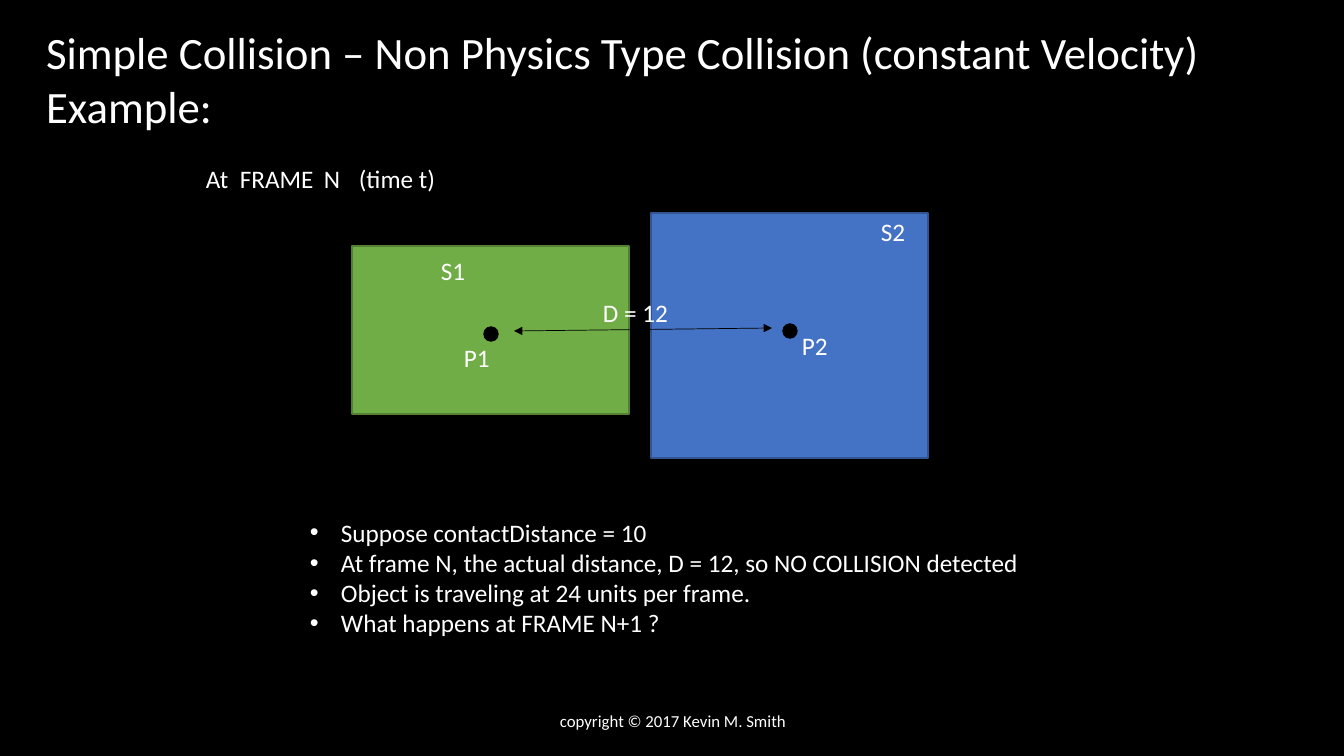
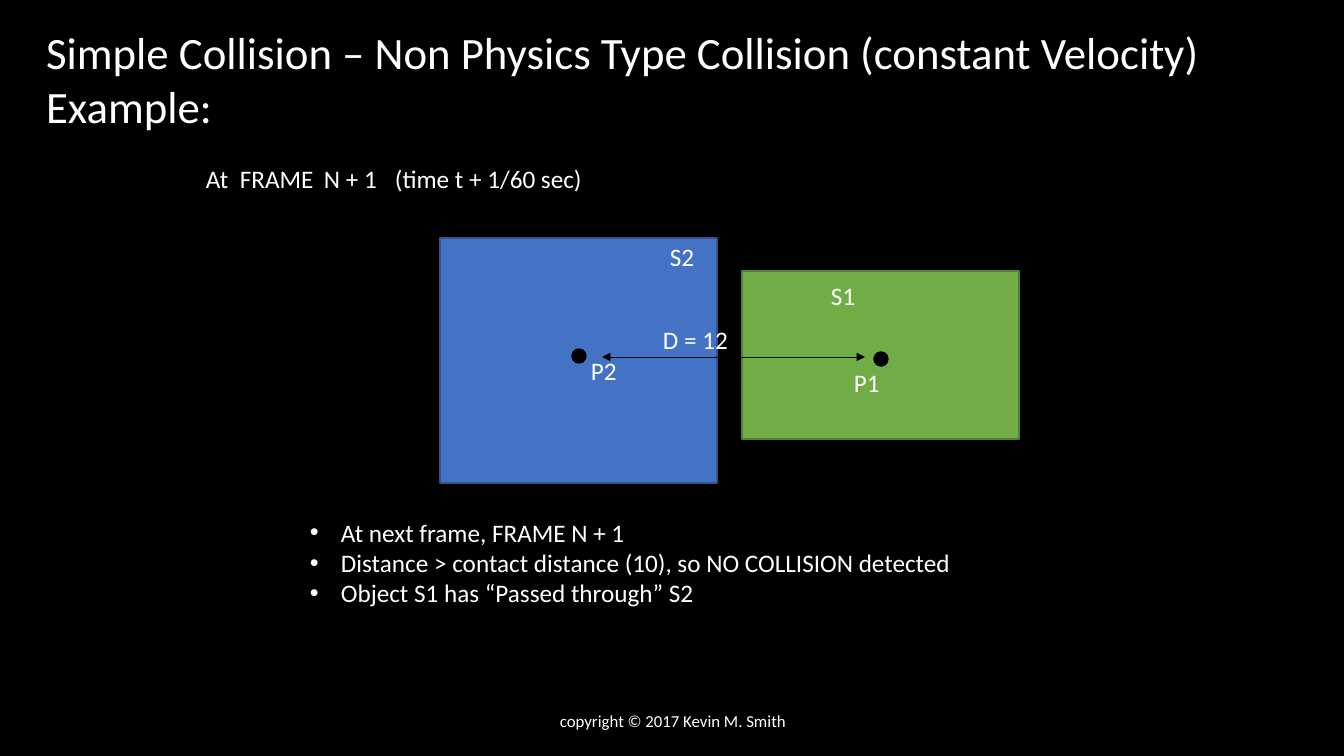
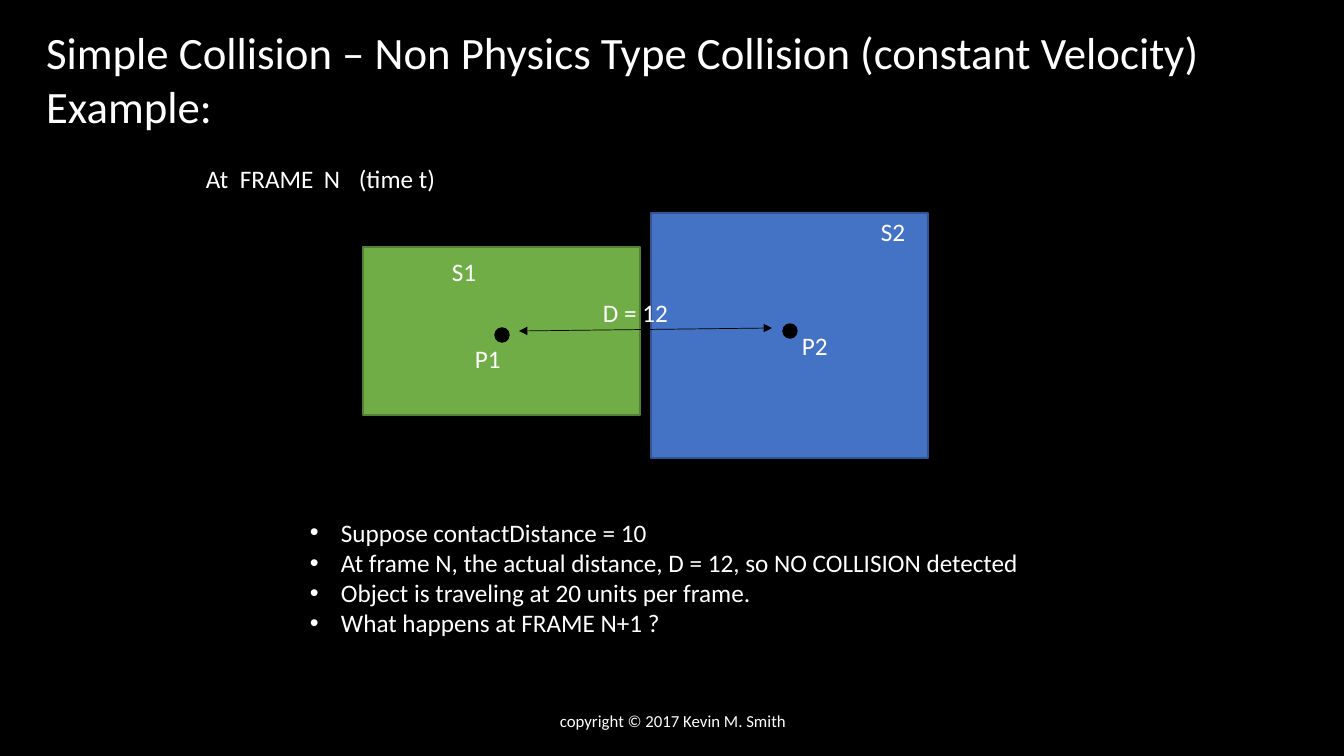
import dataclasses

import pptx
import pptx.dml.color
import pptx.enum.shapes
import pptx.enum.text
import pptx.oxml
import pptx.oxml.ns
import pptx.util

EMU_PER_PX = 914400 / 100.8
TITLE_ONLY = 5
SHAPES = pptx.enum.shapes.MSO_SHAPE
ALIGN = pptx.enum.text.PP_ALIGN
ANCHOR = pptx.enum.text.MSO_ANCHOR
AUTO_SIZE = pptx.enum.text.MSO_AUTO_SIZE


@dataclasses.dataclass(frozen=True)
class Theme:
    font: str = "Calibri"
    background: str = "000000"
    text: str = "FFFFFF"
    mark: str = "000000"
    green: str = "70AD47"
    green_edge: str = "538035"
    blue: str = "4472C4"
    blue_edge: str = "325491"
    title_size: int = 32
    body_size: int = 18
    footer_size: int = 12
    edge_width: float = 1
    arrow_width: float = 0.5


THEME = Theme()

# Shared wording and boxes (left, top, width, height in px)
TITLE = "Simple Collision – Non Physics Type Collision (constant Velocity)\nExample:"
FOOTER = "copyright © 2017 Kevin M. Smith"
TITLE_BOX = (36, 20, 1186, 119)
FOOTER_BOX = (446, 701, 454, 40)
LABEL_HEIGHT = 40
DOT_SIZE = 14
LINE_HEIGHT = 30
BULLET_INDENT = 31

# Each sprite: size, colours, and offsets of its parts from its corner
SPRITES = {
    "S1": {"size": (277, 168), "fill": THEME.green, "edge": THEME.green_edge,
           "dot": (132, 81), "point": "P1", "point_at": (102, 91), "name_at": (79, 4)},
    "S2": {"size": (277, 245), "fill": THEME.blue, "edge": THEME.blue_edge,
           "dot": (132, 111), "point": "P2", "point_at": (141, 112), "name_at": (220, -2)},
}


def approach_frame(speed, first_sprite_at, arrow_start):
    """Content of a slide where S1 approaches S2 at the given speed."""
    return {
        "caption": "At\tFRAME\tN\t(time t)",
        "caption_width": 252,
        "caption_tabs": (34, 118, 153),
        "sprites": {"S1": first_sprite_at, "S2": (651, 213)},
        "arrow": (arrow_start, (772, 328)),
        "distance_at": (593, 292),
        "bullets_width": 732,
        "bullets": [
            "Suppose contactDistance = 10",
            "At frame N, the actual distance, D = 12, so NO COLLISION detected",
            f"Object is traveling at {speed} units per frame.",
            "What happens at FRAME N+1 ?",
        ],
    }


FRAMES = [
    approach_frame(24, (352, 246), (514, 331)),
    {
        "caption": "At\tFRAME\tN + 1\t(time t + 1/60 sec)",
        "caption_width": 401,
        "caption_tabs": (34, 118, 189),
        "sprites": {"S1": (742, 271), "S2": (440, 238)},
        "arrow": ((602, 357), (865, 357)),
        "distance_at": (653, 319),
        "bullets_width": 668,
        "bullets": [
            "At next frame, FRAME N + 1",
            "Distance > contact distance (10), so NO COLLISION detected",
            "Object S1 has “Passed through” S2",
        ],
    },
    approach_frame(20, (363, 247), (519, 331)),
]


def px(*lengths):
    return [pptx.util.Emu(round(length * EMU_PER_PX)) for length in lengths]


def rgb(color):
    return pptx.dml.color.RGBColor.from_string(color)


def apply(target, values):
    for name, value in values.items():
        setattr(target, name, value)


def add_element(parent, tag, **attributes):
    element = pptx.oxml.parse_xml(f"<{tag} {pptx.oxml.ns.nsdecls('a')}/>")
    for name, value in attributes.items():
        element.set(name, str(value))
    parent.append(element)
    return element


def write_text(shape, text, size, frame_format, alignment=ALIGN.LEFT):
    frame = shape.text_frame
    frame.text = text
    apply(frame, frame_format)
    for paragraph in frame.paragraphs:
        paragraph.alignment = alignment
        for run in paragraph.runs:
            apply(run.font, {"name": THEME.font, "size": pptx.util.Pt(size)})
            run.font.color.rgb = rgb(THEME.text)


def add_label(shapes, text, box):
    label = shapes.add_textbox(*px(*box))
    write_text(label, text, THEME.body_size,
               {"word_wrap": False, "auto_size": AUTO_SIZE.SHAPE_TO_FIT_TEXT})
    return label


def add_outlined(shapes, kind, box, fill, edge):
    shape = shapes.add_shape(kind, *px(*box))
    shape.shadow.inherit = False
    shape.fill.solid()
    shape.fill.fore_color.rgb = rgb(fill)
    shape.line.color.rgb = rgb(edge)
    shape.line.width = pptx.util.Pt(THEME.edge_width)


def add_title(slide):
    title = slide.shapes.title
    apply(title, dict(zip(("left", "top", "width", "height"), px(*TITLE_BOX))))
    write_text(title, TITLE, THEME.title_size,
               {"word_wrap": True, "auto_size": AUTO_SIZE.NONE,
                "vertical_anchor": ANCHOR.TOP})


def add_footer(slide):
    footer = slide.shapes.add_textbox(*px(*FOOTER_BOX))
    write_text(footer, FOOTER, THEME.footer_size,
               {"word_wrap": True, "vertical_anchor": ANCHOR.MIDDLE}, ALIGN.CENTER)


def add_caption(slide, text, box, tabs):
    caption = add_label(slide.shapes, text, box)
    properties = caption.text_frame.paragraphs[0]._p.get_or_add_pPr()
    tab_list = add_element(properties, "a:tabLst")
    for position in px(*tabs):
        add_element(tab_list, "a:tab", pos=position, algn="l")


def add_sprite(slide, name, left, top):
    """A rectangle with its name, centre dot and point label, grouped."""
    sprite = SPRITES[name]
    shapes = slide.shapes.add_group_shape().shapes

    def inside(offset, width, height):
        return left + offset[0], top + offset[1], width, height

    add_outlined(shapes, SHAPES.RECTANGLE, inside((0, 0), *sprite["size"]),
                 sprite["fill"], sprite["edge"])
    add_outlined(shapes, SHAPES.OVAL, inside(sprite["dot"], DOT_SIZE, DOT_SIZE),
                 THEME.mark, THEME.mark)
    add_label(shapes, sprite["point"], inside(sprite["point_at"], 46, LABEL_HEIGHT))
    add_label(shapes, name, inside(sprite["name_at"], 45, LABEL_HEIGHT))


def add_bullets(slide, lines, box):
    bullets = add_label(slide.shapes, "\n".join(lines), box)
    indent = px(BULLET_INDENT)[0]
    for paragraph in bullets.text_frame.paragraphs:
        properties = paragraph._p.get_or_add_pPr()
        properties.set("marL", str(indent))
        properties.set("indent", str(-indent))
        add_element(properties, "a:buFont", typeface="Arial")
        add_element(properties, "a:buChar", char="•")


def add_distance(slide, start, end, label_at):
    """The double-headed arrow between the points, with its length."""
    arrow = slide.shapes.add_connector(
        pptx.enum.shapes.MSO_CONNECTOR.STRAIGHT, *px(*start, *end))
    arrow.line.color.rgb = rgb(THEME.mark)
    arrow.line.width = pptx.util.Pt(THEME.arrow_width)
    properties = arrow._element.spPr
    line = properties.find(pptx.oxml.ns.qn("a:ln"))
    for tag in ("a:headEnd", "a:tailEnd"):
        add_element(line, tag, type="triangle")
    add_element(properties, "a:effectLst")
    add_label(slide.shapes, "D = 12", (*label_at, 87, LABEL_HEIGHT))


def add_frame_slide(presentation, frame):
    slide = presentation.slides.add_slide(presentation.slide_layouts[TITLE_ONLY])
    add_title(slide)
    add_footer(slide)
    for name, corner in frame["sprites"].items():
        add_sprite(slide, name, *corner)
    bullets = frame["bullets"]
    add_bullets(slide, bullets,
                (300, 512, frame["bullets_width"], 10 + LINE_HEIGHT * len(bullets)))
    add_caption(slide, frame["caption"],
                (196, 158, frame["caption_width"], LABEL_HEIGHT), frame["caption_tabs"])
    add_distance(slide, *frame["arrow"], frame["distance_at"])


def main():
    presentation = pptx.Presentation()
    width, height = px(1344, 756)
    apply(presentation, {"slide_width": width, "slide_height": height})
    background = presentation.slide_master.background.fill
    background.solid()
    background.fore_color.rgb = rgb(THEME.background)
    for frame in FRAMES:
        add_frame_slide(presentation, frame)
    presentation.save("out.pptx")


if __name__ == "__main__":
    main()
